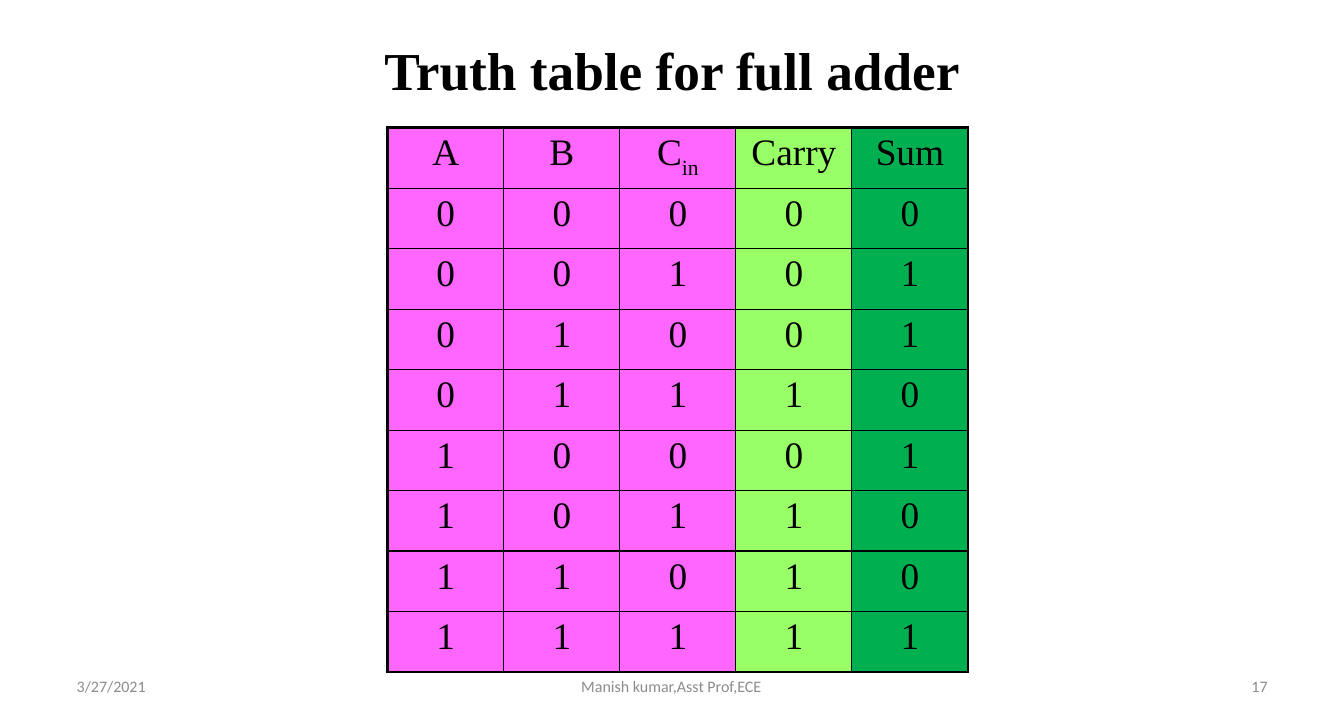
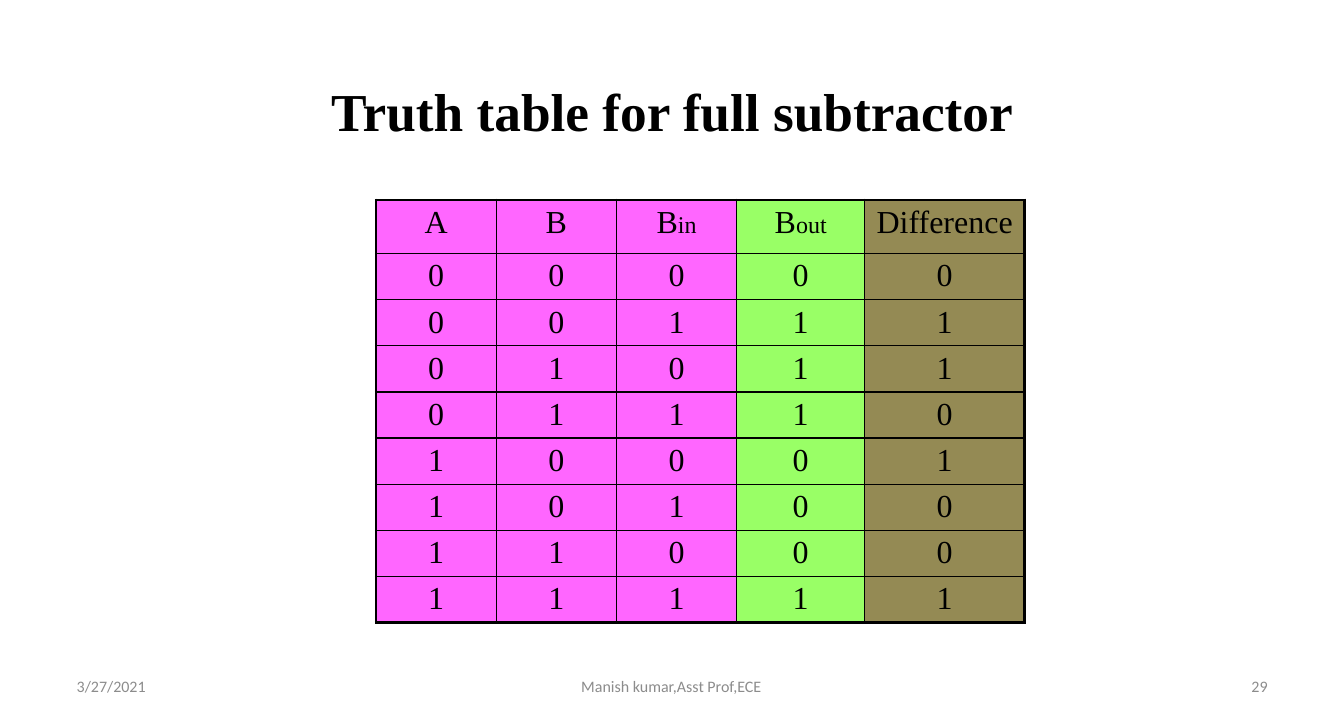
from dataclasses import dataclass
from itertools import product

from lxml.etree import SubElement
from pptx import Presentation
from pptx.dml.color import RGBColor
from pptx.enum.text import MSO_ANCHOR, PP_ALIGN
from pptx.oxml.ns import qn
from pptx.util import Cm, Pt


@dataclass(frozen=True)
class Theme:
    ink: str = "000000"
    muted: str = "8C8C8C"
    inputs: str = "FF66FF"
    carry: str = "99FF66"
    sum: str = "00B050"
    difference: str = "948A54"
    serif: str = "Times New Roman"
    sans: str = "Calibri"
    title_size: float = 40
    footer_size: float = 12
    inner_line: float = 1
    outer_line: float = 2.25


@dataclass(frozen=True)
class TruthTable:
    left: float
    top: float
    height: float
    column_widths: tuple
    header_height: float
    row_height: float
    text_size: float
    fills: tuple
    right_line: float
    suffix_size: float
    suffix_baseline: int = 0


THEME = Theme()
SLIDE_WIDTH, SLIDE_HEIGHT = 35.56, 19.05
FOOTER_TOP, FOOTER_HEIGHT = 17.65, 1.02
LECTURE_DATE = "3/27/2021"
LECTURER = "Manish kumar,Asst Prof,ECE"

ADDER = TruthTable(
    left=10.26, top=3.38, height=14.4, column_widths=(3.07,) * 5,
    header_height=1.6, row_height=1.6, text_size=28,
    fills=(THEME.inputs,) * 3 + (THEME.carry, THEME.sum),
    right_line=THEME.inner_line, suffix_size=28, suffix_baseline=-25000,
)
SUBTRACTOR = TruthTable(
    left=9.95, top=5.29, height=11.58, column_widths=(3.18, 3.18, 3.18, 3.39, 4.23),
    header_height=1.42, row_height=1.22, text_size=24,
    fills=(THEME.inputs,) * 3 + (THEME.carry, THEME.difference),
    right_line=THEME.outer_line, suffix_size=18,
)


def add_run(paragraph, text, size, font_name, color, bold=False):
    run = paragraph.add_run()
    run.text = text
    run.font.size = Pt(size)
    run.font.name = font_name
    run.font.bold = bold
    run.font.color.rgb = RGBColor.from_string(color)
    return run


def add_title(slide, text, top):
    title = slide.shapes.title
    title.left, title.top = Cm(0), Cm(top)
    title.width, title.height = Cm(SLIDE_WIDTH), Cm(2.41)
    title.text_frame.vertical_anchor = MSO_ANCHOR.MIDDLE
    paragraph = title.text_frame.paragraphs[0]
    paragraph.alignment = PP_ALIGN.CENTER
    add_run(paragraph, text, THEME.title_size, THEME.serif, THEME.ink, bold=True)


def add_footer(slide, page_number):
    parts = (
        (LECTURE_DATE, 1.78, 8.31, PP_ALIGN.LEFT),
        (str(page_number), 25.48, 8.31, PP_ALIGN.RIGHT),
        (LECTURER, 12.14, 11.25, PP_ALIGN.CENTER),
    )
    for text, left, width, alignment in parts:
        box = slide.shapes.add_textbox(Cm(left), Cm(FOOTER_TOP), Cm(width), Cm(FOOTER_HEIGHT))
        box.text_frame.word_wrap = True
        box.text_frame.vertical_anchor = MSO_ANCHOR.MIDDLE
        paragraph = box.text_frame.paragraphs[0]
        paragraph.alignment = alignment
        add_run(paragraph, text, THEME.footer_size, THEME.sans, THEME.muted)


def set_borders(cell, widths):
    properties = cell._tc.get_or_add_tcPr()
    for side, width in zip("LRTB", widths):
        line = SubElement(properties, qn(f"a:ln{side}"), w=str(Pt(width)))
        fill = SubElement(line, qn("a:solidFill"))
        SubElement(fill, qn("a:srgbClr"), val=THEME.ink)


def fill_cell(cell, label, suffix, design, color):
    cell.fill.solid()
    cell.fill.fore_color.rgb = RGBColor.from_string(color)
    paragraph = cell.text_frame.paragraphs[0]
    paragraph.alignment = PP_ALIGN.CENTER
    add_run(paragraph, label, design.text_size, THEME.serif, THEME.ink)
    if suffix:
        run = add_run(paragraph, suffix, design.suffix_size, THEME.serif, THEME.ink)
        if design.suffix_baseline:
            run._r.get_or_add_rPr().set("baseline", str(design.suffix_baseline))


def add_truth_table(slide, design, headings, outputs):
    states = [(*bits, *outputs(*bits)) for bits in product((0, 1), repeat=3)]
    rows = [headings] + [[(str(value), "") for value in state] for state in states]
    last_row, last_column = len(rows) - 1, len(headings) - 1
    frame = slide.shapes.add_table(
        len(rows), len(headings), Cm(design.left), Cm(design.top),
        Cm(sum(design.column_widths)), Cm(design.height),
    )
    table = frame.table
    table.first_row = table.horz_banding = False
    for column, width in zip(table.columns, design.column_widths):
        column.width = Cm(width)
    inner, outer = THEME.inner_line, THEME.outer_line
    for r, entries in enumerate(rows):
        table.rows[r].height = Cm(design.row_height if r else design.header_height)
        for c, (label, suffix) in enumerate(entries):
            cell = table.cell(r, c)
            set_borders(cell, (
                inner if c else outer,
                design.right_line if c == last_column else inner,
                inner if r else outer,
                outer if r == last_row else inner,
            ))
            fill_cell(cell, label, suffix, design, design.fills[c])
    frame.height = Cm(design.height)


def add_bits(a, b, carry_in):
    return divmod(a + b + carry_in, 2)


def subtract_bits(a, b, borrow_in):
    remainder = a - b - borrow_in
    return int(remainder < 0), remainder % 2


def add_truth_slide(deck, title, title_top, page_number, design, headings, outputs):
    slide = deck.slides.add_slide(deck.slide_layouts[5])
    add_title(slide, title, title_top)
    add_truth_table(slide, design, headings, outputs)
    add_footer(slide, page_number)


def main():
    deck = Presentation()
    deck.slide_width, deck.slide_height = Cm(SLIDE_WIDTH), Cm(SLIDE_HEIGHT)
    add_truth_slide(
        deck, "Truth table for full adder", 0.63, 17, ADDER,
        [("A", ""), ("B", ""), ("C", "in"), ("Carry", ""), ("Sum", "")], add_bits,
    )
    add_truth_slide(
        deck, "Truth table for full subtractor", 1.7, 29, SUBTRACTOR,
        [("A", ""), ("B", ""), ("B", "in"), ("B", "out"), ("Difference", "")], subtract_bits,
    )
    deck.save("out.pptx")


if __name__ == "__main__":
    main()
